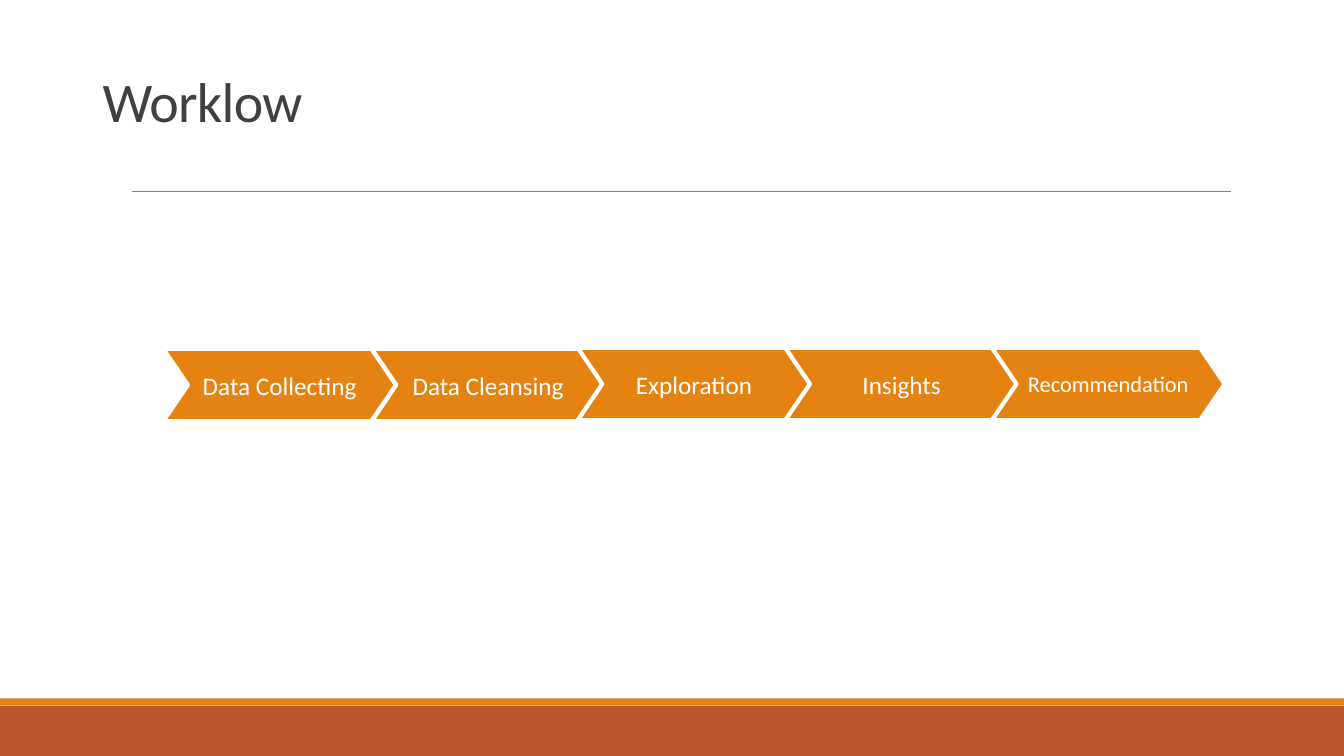
from lxml.etree import SubElement
from pptx import Presentation
from pptx.dml.color import RGBColor as RGB
from pptx.enum.shapes import MSO_CONNECTOR as LINK, MSO_SHAPE as SHAPE
from pptx.enum.text import MSO_ANCHOR as ANCHOR, MSO_AUTO_SIZE as FIT, PP_ALIGN as ALIGN
from pptx.oxml.ns import qn
from pptx.util import Pt

COLORS = {
    "rust": "BD582C",
    "orange": "E48312",
    "gray": "808080",
    "dark": "404040",
    "white": "FFFFFF",
}
STEPS = [
    ("Data Collecting", 116.6, 249.1, 18),
    ("Data Cleansing", 265.5, 249.1, 18),
    ("Exploration", 412.6, 248.4, 18),
    ("Insights", 560.9, 248.4, 18),
    ("Recommendation", 708.5, 248.4, 16),
]


def color(name):
    return RGB.from_string(COLORS[name])


def write(shape, text, size, ink, align, anchor):
    frame = shape.text_frame
    frame.text = text
    para = frame.paragraphs[0]
    font = para.runs[0].font
    font.color.rgb = color(ink)
    formats = [
        (frame, {"word_wrap": True, "auto_size": FIT.NONE, "vertical_anchor": anchor}),
        (para, {"alignment": align}),
        (font, {"name": "Calibri", "size": Pt(size)}),
    ]
    for item, values in formats:
        for key, value in values.items():
            setattr(item, key, value)
    return para


def add_box(slide, kind, left, top, width, height, fill):
    box = slide.shapes.add_shape(kind, Pt(left), Pt(top), Pt(width), Pt(height))
    box.shadow.inherit = False
    box.fill.solid()
    box.fill.fore_color.rgb = color(fill)
    box.line.fill.background()
    return box


def add_rule(slide, left, right, top):
    rule = slide.shapes.add_connector(LINK.STRAIGHT, Pt(left), Pt(top), Pt(right), Pt(top))
    rule.line.color.rgb = color("gray")
    rule.line.width = Pt(0.5)
    SubElement(rule._element.spPr, qn("a:effectLst"))


def add_step(slide, text, left, top, size):
    step = add_box(slide, SHAPE.CHEVRON, left, top, 166.3, 51.8, "orange")
    step.adjustments[0] = 0.34
    step.line.color.rgb = color("white")
    step.line.width = Pt(3)
    write(step, text, size, "white", ALIGN.CENTER, ANCHOR.MIDDLE)


def set_title(slide, text):
    title = slide.shapes.title
    place = {"left": 66.2, "top": 28.8, "width": 828, "height": 70.6}
    for key, value in place.items():
        setattr(title, key, Pt(value))
    para = write(title, text, 40, "dark", ALIGN.LEFT, ANCHOR.BOTTOM)
    para.line_spacing = 0.85
    para.runs[0].font._element.set("spc", "-50")


def main():
    deck = Presentation()
    deck.slide_width, deck.slide_height = Pt(960), Pt(540)
    slide = deck.slides.add_slide(deck.slide_layouts[5])
    add_box(slide, SHAPE.RECTANGLE, 0, 504, 960, 36, "rust")
    add_box(slide, SHAPE.RECTANGLE, 0, 498.8, 960, 5, "orange")
    add_rule(slide, 94, 879, 136.6)
    for step in STEPS:
        add_step(slide, *step)
    set_title(slide, "Worklow")
    deck.save("out.pptx")


if __name__ == "__main__":
    main()
